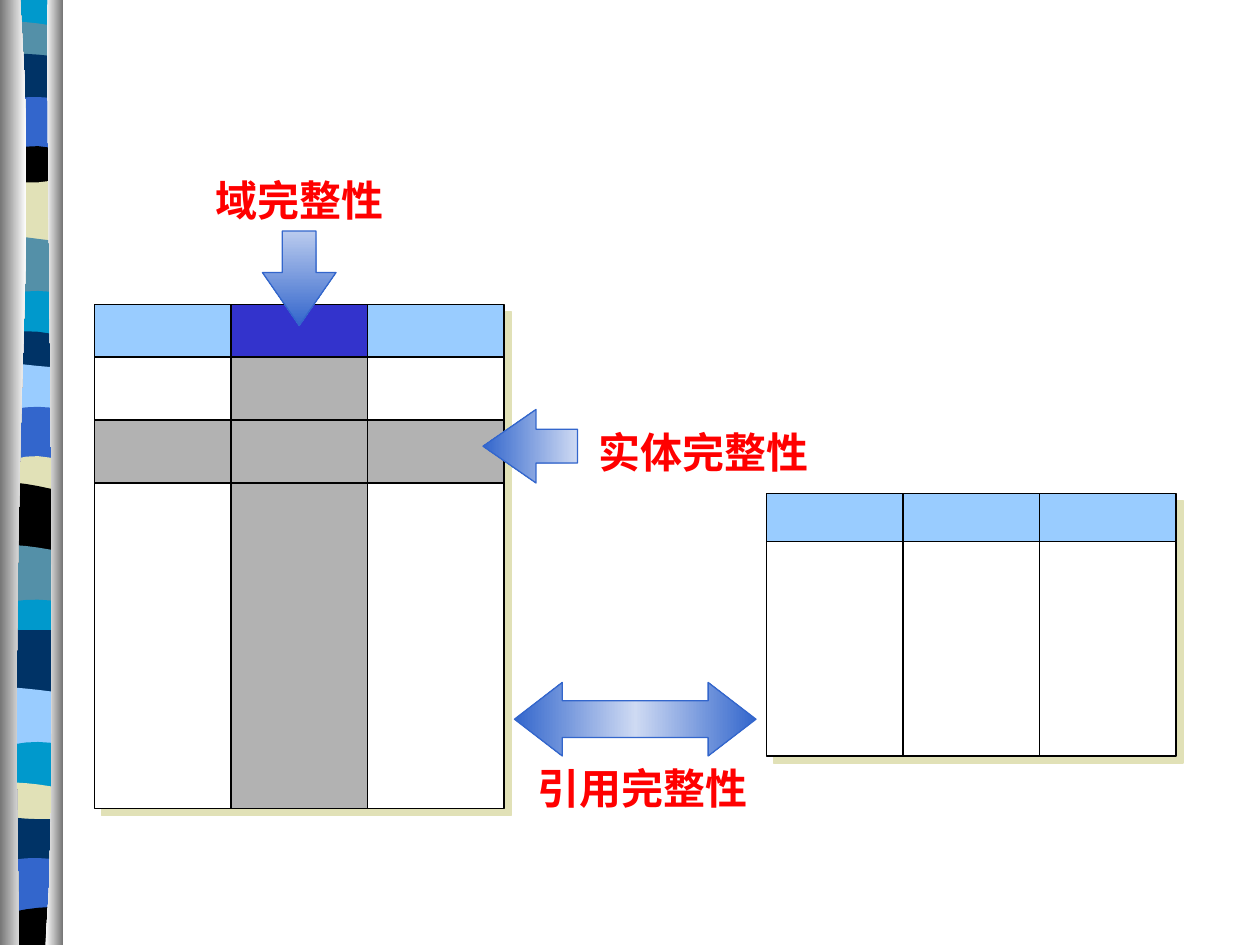
import pptx
import pptx.dml.color
import pptx.enum.shapes
import pptx.enum.text
import pptx.oxml
import pptx.oxml.ns
import pptx.util

WIDTH, HEIGHT = 10, 7.5
GRID = 12  # grid steps per inch
COLUMN = 13  # width of a table column in grid steps
FINE = 1000  # outline units per inch, as outline points are whole numbers
SKY, BLUE, GREY, WHITE, BLACK = "99CCFF", "3366CC", "B2B2B2", "FFFFFF", "000000"
TEAL, CYAN, NAVY, SAND, STEEL = "5490A8", "0099CC", "003366", "E1E1B7", "767676"
PALE = "CEDAF3"
SHAPES = pptx.enum.shapes.MSO_SHAPE

BAND_LEFT, BAND_RIGHT, BAND_OVERLAP = 0.02, 0.49, 0.1
# colour, then the height of the upper edge at the left, middle and right
BANDS = [
    (CYAN, 0, 0, 0), (TEAL, 0.17, 0.18, 0.22), (NAVY, 0.43, 0.43, 0.46),
    (BLUE, 0.8, 0.77, 0.79), (BLACK, 1.22, 1.16, 1.2), (SAND, 1.41, 1.45, 1.41),
    (TEAL, 1.86, 1.89, 1.92), (CYAN, 2.35, 2.31, 2.33), (NAVY, 2.65, 2.63, 2.67),
    (SKY, 2.87, 2.9, 2.92), (BLUE, 3.27, 3.23, 3.25), (SAND, 3.68, 3.62, 3.66),
    (BLACK, 3.82, 3.85, 3.9), (TEAL, 4.32, 4.34, 4.38), (CYAN, 4.79, 4.76, 4.78),
    (NAVY, 5, 5, 5), (SKY, 5.45, 5.47, 5.5), (CYAN, 5.93, 5.89, 5.91),
    (SAND, 6.21, 6.22, 6.26), (NAVY, 6.48, 6.5, 6.5), (BLUE, 6.84, 6.81, 6.83),
    (BLACK, 7.26, 7.21, 7.2),
]


def color(code):
    return pptx.dml.color.RGBColor.from_string(code)


def steps(*values):
    return [pptx.util.Inches(value / GRID) for value in values]


def curve(points, count):
    """Sample the Bezier curve with these control points."""
    samples = []
    for index in range(count + 1):
        share, level = index / count, points
        while len(level) > 1:
            level = [(a[0] + (b[0] - a[0]) * share, a[1] + (b[1] - a[1]) * share)
                     for a, b in zip(level, level[1:])]
        samples.append(level[0])
    return samples


def fill_gradient(shape, codes, angle=0):
    """Spread the colours evenly; the angle runs clockwise in degrees."""
    shape.fill.gradient()
    shape.fill.gradient_angle = -angle % 360
    stops = shape.element.spPr.find(".//" + pptx.oxml.ns.qn("a:gsLst"))
    for stop in list(stops):
        stops.remove(stop)
    for index, code in enumerate(codes):
        place = round(100000 * index / (len(codes) - 1))
        stops.append(pptx.oxml.parse_xml(
            f'<a:gs {pptx.oxml.ns.nsdecls("a")} pos="{place}"><a:srgbClr val="{code}"/></a:gs>'))


def add_outline(group, points, codes):
    """Draw a closed outline through points given in inches."""
    corners = [(round(x * FINE), round(y * FINE)) for x, y in points]
    builder = group.shapes.build_freeform(*corners[0], scale=pptx.util.Inches(1) / FINE)
    builder.add_line_segments(corners[1:], close=True)
    shape = builder.convert_to_shape()
    shape.shadow.inherit = False
    shape.line.fill.background()
    if len(codes) > 1:
        fill_gradient(shape, codes)
    else:
        shape.fill.solid()
        shape.fill.fore_color.rgb = color(codes[0])


def add_border(page):
    """Wavy coloured bands between two grey strips along the left edge."""
    group = page.shapes.add_group_shape()
    middle_x = (BAND_LEFT + BAND_RIGHT) / 2
    for index, (code, left, middle, right) in enumerate(BANDS):
        last = index == len(BANDS) - 1
        bottom = HEIGHT if last else max(BANDS[index + 1][1:]) + BAND_OVERLAP
        pull = 2 * middle - (left + right) / 2
        flat = left == middle == right
        edge = curve([(BAND_LEFT, left), (middle_x, pull), (BAND_RIGHT, right)], 1 if flat else 5)
        add_outline(group, edge + [(BAND_RIGHT, bottom), (BAND_LEFT, bottom)], [code])
    inner = curve([(0.16, 0), (0.31, 2.17), (0.07, 2.96), (0.15, HEIGHT)], 10)
    add_outline(group, inner + [(0, HEIGHT), (0, 0)], [STEEL, WHITE])
    outer = curve([(0.38, 0), (0.36, 1.25), (0.48, 6.47), (0.36, HEIGHT)], 10)
    add_outline(group, outer + [(0.5, HEIGHT), (0.5, 0)], [WHITE, STEEL])


def add_shadow(shape, distance):
    shape.element.spPr.find(pptx.oxml.ns.qn("a:effectLst")).append(pptx.oxml.parse_xml(
        f'<a:outerShdw {pptx.oxml.ns.nsdecls("a")} dist="{pptx.util.Pt(distance)}" '
        f'dir="2700000" algn="ctr" rotWithShape="0"><a:srgbClr val="{SAND}"/></a:outerShdw>'))


def add_cell(group, place, code=None, shadow=None):
    cell = group.shapes.add_shape(SHAPES.RECTANGLE, *steps(*place))
    cell.shadow.inherit = False
    if code:
        cell.fill.solid()
        cell.fill.fore_color.rgb = color(code)
    else:
        cell.fill.background()
    cell.line.color.rgb = color(BLACK)
    cell.line.width = pptx.util.Pt(0.75)
    if shadow:
        add_shadow(cell, shadow)


def add_relation(page, left, top, head, body, head_codes, body_codes):
    """Draw a header row over tall column cells and return their group."""
    group = page.shapes.add_group_shape()
    rows = [(top, head, head_codes, (1.4, 1.4, 5.7)),
            (top + head, body, body_codes, (5.7, 5.7, 5.7))]
    for row_top, height, codes, shadows in rows:
        for column, (code, shadow) in enumerate(zip(codes, shadows)):
            add_cell(group, (left + column * COLUMN, row_top, COLUMN, height), code, shadow)
    return group


def add_entity_row(group, left, top, height):
    for column in (0, 2):
        add_cell(group, (left + column * COLUMN, top, COLUMN, height), GREY)
    add_cell(group, (left, top, 3 * COLUMN, height))


def add_rule(page, words, label, kind, place, adjustments, codes, angle=0, rotation=0):
    """Add an integrity rule: a red label with its arrow."""
    group = page.shapes.add_group_shape()
    box = group.shapes.add_textbox(*steps(*label))
    box.text_frame.word_wrap = True
    para = box.text_frame.paragraphs[0]
    para.alignment = pptx.enum.text.PP_ALIGN.CENTER
    span = para.add_run()
    span.text = words
    span.font.name = "Arial"
    span.font.size = pptx.util.Pt(24)
    span.font.bold = True
    span.font.color.rgb = color("FF0000")

    arrow = group.shapes.add_shape(kind, *steps(*place))
    arrow.shadow.inherit = False
    arrow.rotation = rotation
    for index, value in enumerate(adjustments):
        arrow.adjustments[index] = value
    fill_gradient(arrow, codes, angle)
    arrow.line.color.rgb = color(BLUE)
    arrow.line.width = pptx.util.Pt(0.75)


def main():
    deck = pptx.Presentation()
    deck.slide_width = pptx.util.Inches(WIDTH)
    deck.slide_height = pptx.util.Inches(HEIGHT)
    page = deck.slides.add_slide(deck.slide_layouts[6])
    add_border(page)

    main_table = add_relation(page, 9, 29, 5, 43, (SKY, "3333CC", SKY), (WHITE, GREY, WHITE))
    add_entity_row(main_table, 9, 40, 6)
    add_relation(page, 73, 47, 4.6, 20.4, (SKY,) * 3, (WHITE,) * 3)

    add_rule(page, "域完整性", (8, 16, 41, 6), SHAPES.DOWN_ARROW, (25, 22, 7, 9),
             (0.46, 0.72), ("BACBEE", BLUE), angle=90)
    add_rule(page, "实体完整性", (54, 40, 26, 6), SHAPES.DOWN_ARROW, (47, 38, 7, 9),
             (0.46, 0.72), (PALE, BLUE), angle=90, rotation=90)
    add_rule(page, "引用完整性", (44, 72, 34.3, 6), SHAPES.LEFT_RIGHT_ARROW, (49, 65, 23, 7),
             (0.5, 0.65), (BLUE, PALE, BLUE))
    deck.save("out.pptx")


if __name__ == "__main__":
    main()
